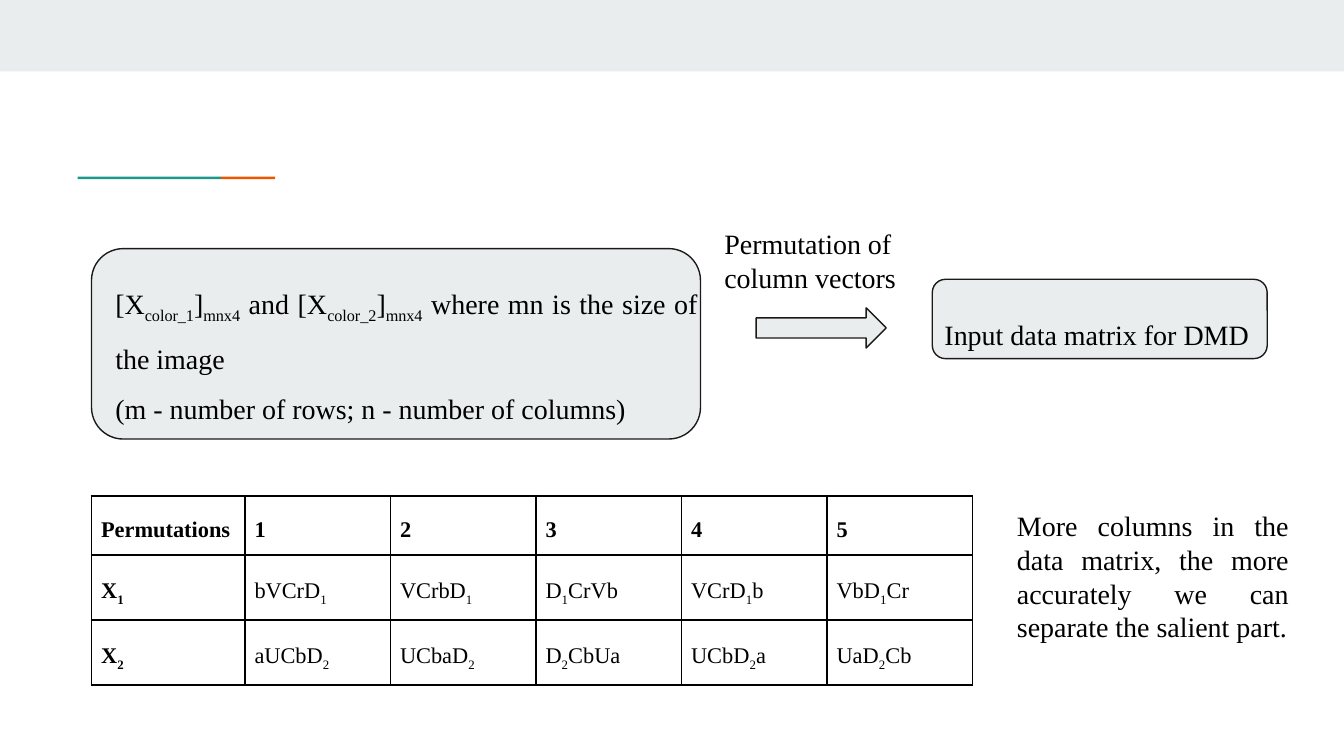
from dataclasses import dataclass

from lxml.etree import SubElement
from pptx import Presentation
from pptx.dml.color import RGBColor
from pptx.enum.shapes import MSO_SHAPE as Shape
from pptx.enum.text import MSO_ANCHOR as Anchor, PP_ALIGN as Align
from pptx.oxml.ns import qn
from pptx.util import Cm, Pt


@dataclass(frozen=True)
class Theme:
    font: str = "Times New Roman"
    body_size: float = 15
    table_size: float = 12
    text: str = "000000"
    panel: str = "E9EDEE"
    outline: str = "1A1A1A"
    teal: str = "1A9988"
    orange: str = "EB5600"
    line_width: float = 0.75
    border_width: float = 1


THEME = Theme()

# Places are left, top, width, height in centimetres.
BARS = [
    ((0, 0, 25.4, 1.35), THEME.panel),
    ((1.47, 3.34, 2.71, 0.05), THEME.teal),
    ((4.18, 3.34, 1.02, 0.05), THEME.orange),
]
FLOW = [
    (Shape.ROUNDED_RECTANGLE, (17.62, 5.28, 6.33, 1.5)),
    (Shape.ROUNDED_RECTANGLE, (1.73, 4.7, 11.51, 3.6)),
    (Shape.RIGHT_ARROW, (14.29, 5.82, 2.46, 0.76)),
]
# In every text the parts between bars alternate: normal|subscript|normal ...
TEXTS = [
    ((1.93, 4.8, 11.51, 3.6), Align.JUSTIFY, 1.5, [
        "[X|color_1|]|mnx4| and [X|color_2|]|mnx4| where mn is the size of the image",
        "(m - number of rows; n - number of columns)",
    ]),
    ((17.6, 5.44, 6.63, 1.5), Align.JUSTIFY, 1.5, ["Input data matrix for DMD"]),
    ((13.44, 4.04, 4.55, 1.8), Align.LEFT, 1, ["Permutation of column vectors"]),
    ((18.97, 9.37, 5.64, 3.07), Align.JUSTIFY, 1, [
        "More columns in the data matrix, the more accurately we can "
        "separate the salient part.",
    ]),
]
PERMUTATIONS = [
    ["Permutations", "1", "2", "3", "4", "5"],
    ["X|1", "bVCrD|1", "VCrbD|1", "D|1|CrVb", "VCrD|1|b", "VbD|1|Cr"],
    ["X|2", "aUCbD|2", "UCbaD|2", "D|2|CbUa", "UCbD|2|a", "UaD|2|Cb"],
]
TABLE_ORIGIN = (1.73, 9.37)
COLUMN_WIDTHS = [2.9] + [2.75] * 5
ROW_HEIGHTS = [1.12, 1.22, 1.22]


def colour(code):
    return RGBColor.from_string(code)


def place(box):
    return [Cm(length) for length in box]


def write(para, text, size, align, spacing, bold=False):
    """Fill a paragraph, lowering every second part of the text."""
    para.alignment = align
    para.line_spacing = spacing
    for index, part in enumerate(text.split("|")):
        span = para.add_run()
        span.text = part
        span.font.name = THEME.font
        span.font.size = Pt(size)
        span.font.bold = bold
        span.font.color.rgb = colour(THEME.text)
        if index % 2:
            span.font._element.set("baseline", "-25000")


def add_filled(page, kind, box, fill, outlined):
    shape = page.shapes.add_shape(kind, *place(box))
    shape.shadow.inherit = False
    shape.fill.solid()
    shape.fill.fore_color.rgb = colour(fill)
    if outlined:
        shape.line.color.rgb = colour(THEME.outline)
        shape.line.width = Pt(THEME.line_width)
    else:
        shape.line.fill.background()


def add_text(page, box, align, spacing, lines):
    frame = page.shapes.add_textbox(*place(box)).text_frame
    frame.word_wrap = True
    frame.vertical_anchor = Anchor.TOP
    frame.margin_left = frame.margin_right = Cm(0.25)
    frame.margin_top = frame.margin_bottom = Cm(0.25)
    for index, line in enumerate(lines):
        para = frame.add_paragraph() if index else frame.paragraphs[0]
        write(para, line, THEME.body_size, align, spacing)


def add_borders(cell):
    properties = cell._tc.get_or_add_tcPr()
    for position, side in enumerate(("lnL", "lnR", "lnT", "lnB")):
        line = SubElement(properties, qn(f"a:{side}"), w=str(Pt(THEME.border_width)))
        fill = SubElement(line, qn("a:solidFill"))
        SubElement(fill, qn("a:srgbClr"), val=THEME.text)
        properties.insert(position, line)


def add_permutation_table(page):
    size = (sum(COLUMN_WIDTHS), sum(ROW_HEIGHTS))
    table = page.shapes.add_table(
        len(ROW_HEIGHTS), len(COLUMN_WIDTHS), *place(TABLE_ORIGIN + size)
    ).table
    table.first_row = table.horz_banding = False
    for column, width in zip(table.columns, COLUMN_WIDTHS):
        column.width = Cm(width)
    for row, height in zip(table.rows, ROW_HEIGHTS):
        row.height = Cm(height)
    for r, texts in enumerate(PERMUTATIONS):
        for c, text in enumerate(texts):
            cell = table.cell(r, c)
            cell.margin_left = cell.margin_right = Cm(0.18)
            cell.margin_top = cell.margin_bottom = Cm(0.18)
            cell.fill.background()
            add_borders(cell)
            write(cell.text_frame.paragraphs[0], text, THEME.table_size,
                  Align.JUSTIFY, 1.5, bold=r == 0 or c == 0)


def main():
    deck = Presentation()
    deck.slide_width, deck.slide_height = Cm(25.4), Cm(14.29)
    page = deck.slides.add_slide(deck.slide_layouts[6])
    for box, fill in BARS:
        add_filled(page, Shape.RECTANGLE, box, fill, outlined=False)
    for kind, box in FLOW:
        add_filled(page, kind, box, THEME.panel, outlined=True)
    for text in TEXTS:
        add_text(page, *text)
    add_permutation_table(page)
    deck.save("out.pptx")


if __name__ == "__main__":
    main()
